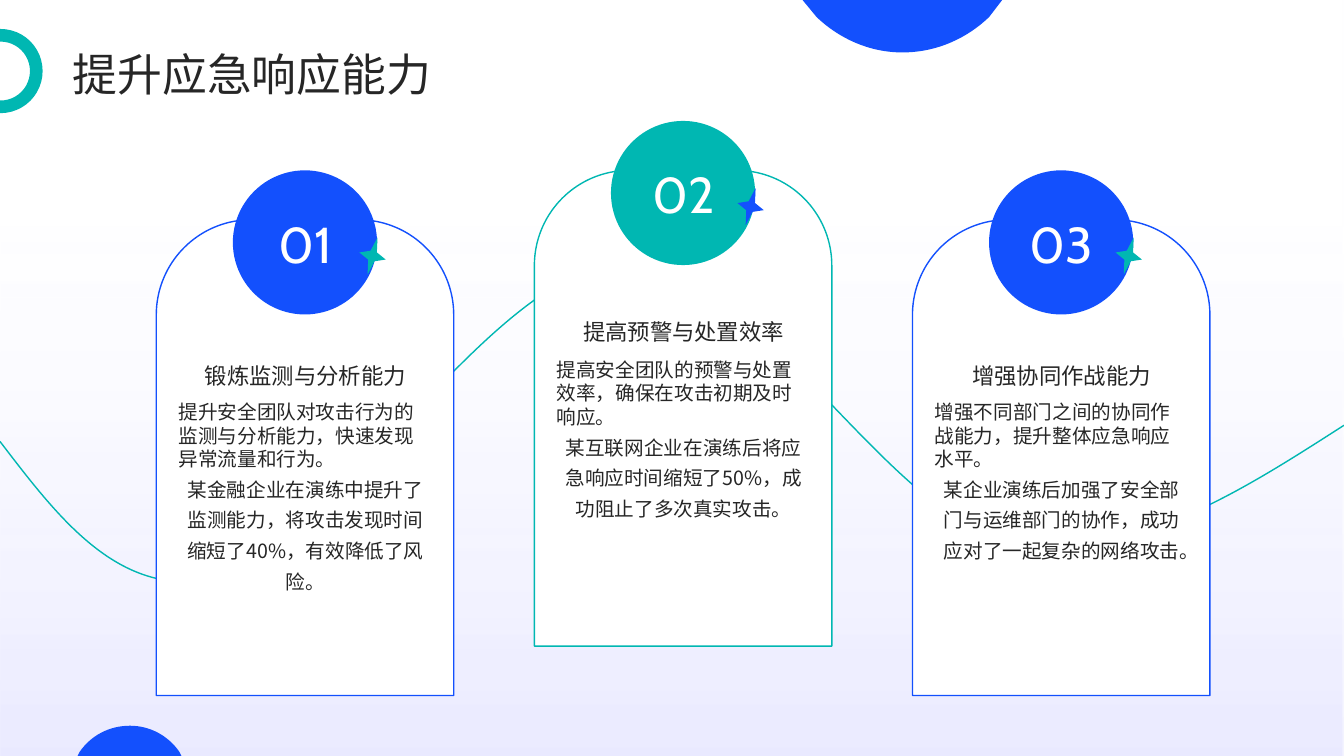
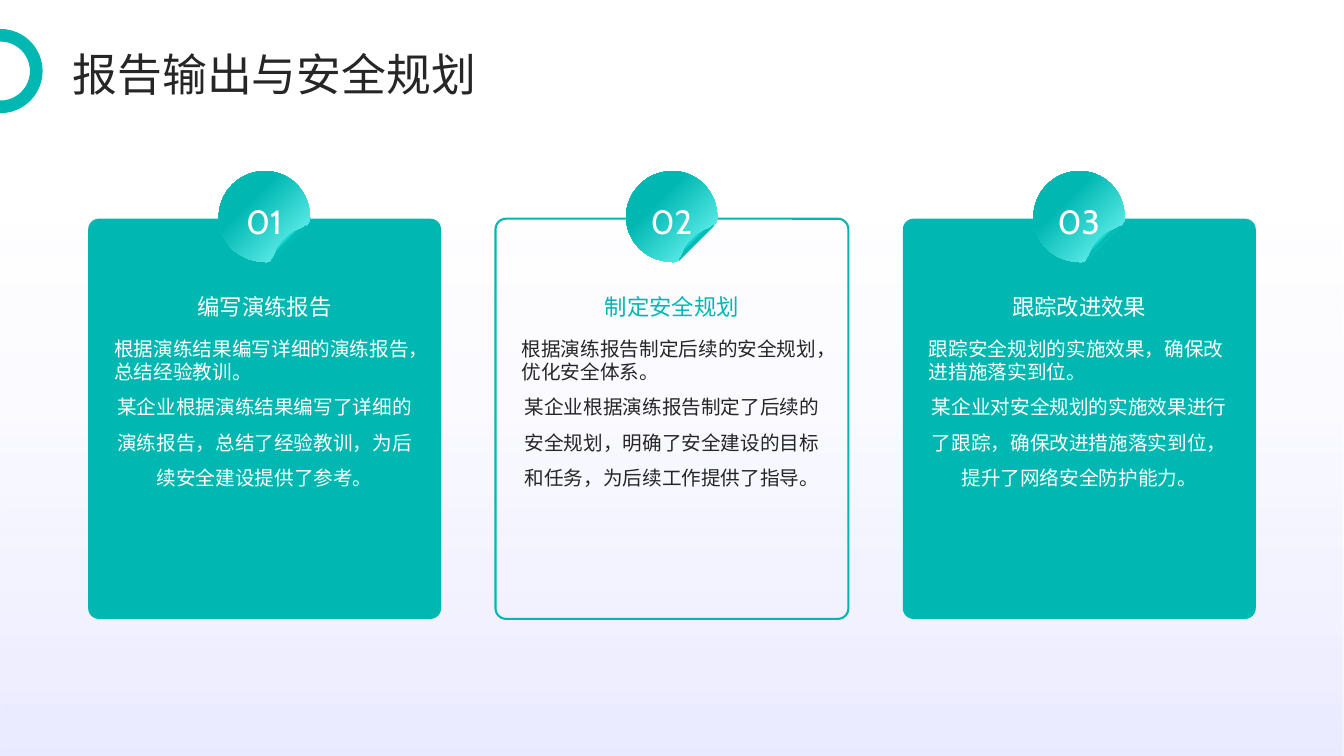
from dataclasses import dataclass

from lxml import etree
from pptx import Presentation
from pptx.dml.color import RGBColor
from pptx.enum.shapes import MSO_SHAPE
from pptx.enum.text import MSO_ANCHOR, PP_ALIGN
from pptx.oxml.ns import qn
from pptx.util import Inches, Pt

LEFT, CENTER = PP_ALIGN.LEFT, PP_ALIGN.CENTER
TOP, MIDDLE, BOTTOM = MSO_ANCHOR.TOP, MSO_ANCHOR.MIDDLE, MSO_ANCHOR.BOTTOM
RECTANGLE, OVAL, STAR = MSO_SHAPE.RECTANGLE, MSO_SHAPE.OVAL, MSO_SHAPE.STAR_4_POINT
ROUNDED, ARCH = MSO_SHAPE.ROUNDED_RECTANGLE, MSO_SHAPE.ROUND_2_SAME_RECTANGLE


@dataclass(frozen=True)
class Theme:
    blue: str = "1350FD"
    teal: str = "00B7B2"
    ink: str = "262626"
    white: str = "FFFFFF"
    shade: str = "12101B"
    text_font: str = "Noto Sans CJK SC"
    number_font: str = "Cabin"
    title_size: int = 32
    heading_size: int = 16
    body_size: int = 14
    big_number: int = 36
    small_number: int = 24


THEME = Theme()
WIDTH, HEIGHT = 13.33, 7.5

RESPONSE = {
    "title": "提升应急响应能力",
    "cards": [
        ("锻炼监测与分析能力",
         "提升安全团队对攻击行为的监测与分析能力，快速发现异常流量和行为。",
         "某金融企业在演练中提升了监测能力，将攻击发现时间缩短了40%，有效降低了风险。"),
        ("提高预警与处置效率",
         "提高安全团队的预警与处置效率，确保在攻击初期及时响应。",
         "某互联网企业在演练后将应急响应时间缩短了50%，成功阻止了多次真实攻击。"),
        ("增强协同作战能力",
         "增强不同部门之间的协同作战能力，提升整体应急响应水平。",
         "某企业演练后加强了安全部门与运维部门的协作，成功应对了一起复杂的网络攻击。"),
    ],
}
PLANNING = {
    "title": "报告输出与安全规划",
    "cards": [
        ("编写演练报告",
         "根据演练结果编写详细的演练报告，总结经验教训。",
         "某企业根据演练结果编写了详细的演练报告，总结了经验教训，为后续安全建设提供了参考。"),
        ("制定安全规划",
         "根据演练报告制定后续的安全规划，优化安全体系。",
         "某企业根据演练报告制定了后续的安全规划，明确了安全建设的目标和任务，为后续工作提供了指导。"),
        ("跟踪改进效果",
         "跟踪安全规划的实施效果，确保改进措施落实到位。",
         "某企业对安全规划的实施效果进行了跟踪，确保改进措施落实到位，提升了网络安全防护能力。"),
    ],
}

WAVE = [(0, 4.38), (0.62, 5.19, 1.24, 6.01, 2.27, 5.71), (3.3, 5.42, 4.89, 2.67, 6.17, 2.61),
        (7.45, 2.55, 8.76, 5.08, 9.96, 5.35), (11.15, 5.62, 12.24, 4.92, 13.33, 4.22)]
TOP_DISC = [(7.96, 0), (9.94, 0), (9.81, 0.17), (9.59, 0.38, 9.29, 0.52, 8.95, 0.52),
            (8.62, 0.52, 8.32, 0.38, 8.1, 0.17)]
BOTTOM_DISC = [(1.29, 7.2), (1.49, 7.2, 1.67, 7.3, 1.78, 7.46), (1.8, 7.5), (0.77, 7.5),
               (0.79, 7.46), (0.9, 7.3, 1.08, 7.2, 1.29, 7.2)]
STICKER_SHADOW = [(0.09, 0.39), (0.41, 0.07), (0.43, 0.05, 0.44, 0.02, 0.44, -0.01),
                  (0.45, -0.13, 0.4, -0.25, 0.31, -0.34),
                  (0.13, -0.51, -0.15, -0.51, -0.32, -0.34),
                  (-0.49, -0.16, -0.49, 0.12, -0.32, 0.29),
                  (-0.23, 0.38, -0.11, 0.43, 0.01, 0.42), (0.04, 0.42, 0.07, 0.41, 0.09, 0.39)]
STICKER = [(0.08, 0.4), (0.42, 0.06), (0.44, 0.04, 0.45, 0.02, 0.45, 0),
           (0.45, -0.13, 0.41, -0.25, 0.31, -0.35), (0.13, -0.52, -0.15, -0.51, -0.32, -0.34),
           (-0.5, -0.16, -0.5, 0.12, -0.32, 0.3), (-0.23, 0.39, -0.1, 0.43, 0.02, 0.43),
           (0.04, 0.43, 0.06, 0.42, 0.08, 0.4)]
STICKER_FOLD = [(0.2, 0.2), (0.1, 0.3, 0.12, 0.36, 0.07, 0.41), (0.41, 0.07),
                (0.36, 0.12, 0.3, 0.1, 0.2, 0.2)]

BACKDROP_FADE = {"stops": [(29, "BCBCFF", 0), (100, "7979FF", 15)], "angle": 90}
STICKER_GLOW = {"stops": [(36, THEME.teal, 100), (100, "7CFFFB", 100)]}
FOLD_SHEEN = {"stops": [(32, "3BFFFA", 100), (47, THEME.teal, 100), (63, "3BFFFA", 100)],
              "angle": 45}


def add_alpha(color_element, percent):
    etree.SubElement(color_element, qn("a:alpha"), val=str(percent * 1000))


def gradient_fill(shape, stops, angle=None):
    gradient = etree.Element(qn("a:gradFill"), rotWithShape="1")
    stop_list = etree.SubElement(gradient, qn("a:gsLst"))
    for position, color, opacity in stops:
        stop = etree.SubElement(stop_list, qn("a:gs"), pos=str(position * 1000))
        color_element = etree.SubElement(stop, qn("a:srgbClr"), val=color)
        if opacity < 100:
            add_alpha(color_element, opacity)
    if angle is None:
        radial = etree.SubElement(gradient, qn("a:path"))
        radial.set("path", "circle")
        etree.SubElement(radial, qn("a:fillToRect"), r="100000", b="100000")
    else:
        etree.SubElement(gradient, qn("a:lin"), ang=str(angle * 60000), scaled="0")
    shape.fill.background()
    placeholder = shape.element.spPr.find(qn("a:noFill"))
    placeholder.getparent().replace(placeholder, gradient)


def paint(shape, fill=None, line=None, weight=1, opacity=100):
    shape.shadow.inherit = False
    if isinstance(fill, dict):
        gradient_fill(shape, **fill)
    elif fill:
        shape.fill.solid()
        shape.fill.fore_color.rgb = RGBColor.from_string(fill)
        if opacity < 100:
            add_alpha(shape.element.spPr.find(qn("a:solidFill"))[0], opacity)
    else:
        shape.fill.background()
    if line:
        shape.line.color.rgb = RGBColor.from_string(line)
        shape.line.width = Pt(weight)
    else:
        shape.line.fill.background()
    return shape


def add_preset(page, kind, area, adjustments=(), **style):
    shape = page.shapes.add_shape(kind, *map(Inches, area))
    for index, value in enumerate(adjustments):
        shape.adjustments[index] = value
    return paint(shape, **style)


def bend_segments(shape, outline):
    corners = iter(list(shape.element.iter(qn("a:lnTo"))))
    for segment in outline[1:]:
        corner = next(corners)
        if len(segment) == 6:
            curve = etree.Element(qn("a:cubicBezTo"))
            corner.addprevious(curve)
            for handle in (corner, next(corners), next(corners)):
                curve.append(handle[0])
                handle.getparent().remove(handle)


def add_outline(page, outline, origin=(0, 0), close=True, **style):
    points = [(Inches(segment[i] + origin[0]), Inches(segment[i + 1] + origin[1]))
              for segment in outline for i in range(0, len(segment), 2)]
    builder = page.shapes.build_freeform(*points[0], scale=1.0)
    builder.add_line_segments(points[1:], close=close)
    shape = builder.convert_to_shape()
    bend_segments(shape, outline)
    return paint(shape, **style)


def add_text(page, area, paragraphs, size, color, font=THEME.text_font, anchor=TOP, inset=True):
    box = page.shapes.add_textbox(*map(Inches, area))
    frame = box.text_frame
    settings = {"word_wrap": True, "vertical_anchor": anchor}
    if not inset:
        settings.update(margin_left=0, margin_right=0, margin_top=0, margin_bottom=0)
    for name, value in settings.items():
        setattr(frame, name, value)
    for index, (text, alignment, spacing) in enumerate(paragraphs):
        para = frame.add_paragraph() if index else frame.paragraphs[0]
        for name, value in {"alignment": alignment, "line_spacing": spacing}.items():
            setattr(para, name, value)
        span = para.add_run()
        span.text = text
        span.font.color.rgb = RGBColor.from_string(color)
        for name, value in {"size": Pt(size), "name": font}.items():
            setattr(span.font, name, value)
        etree.SubElement(span.font._element, qn("a:ea"), typeface=font)


def start_page(deck):
    page = deck.slides.add_slide(deck.slide_layouts[6])
    add_preset(page, RECTANGLE, (0, 0, WIDTH, HEIGHT), fill=BACKDROP_FADE)
    return page


def add_title(page, title):
    add_preset(page, OVAL, (-0.35, 0.35, 0.71, 0.71), line=THEME.teal, weight=9)
    add_text(page, (0.72, 0.47, 11.88, 0.47), [(title, LEFT, 1.1)], THEME.title_size, THEME.ink,
             anchor=MIDDLE, inset=False)


def body_paragraphs(summary, example, spacing):
    return [(summary, LEFT, 1.0), (example, CENTER, spacing)]


def add_arch_card(page, index, card):
    heading, summary, example = card
    raised = index % 2 == 1
    main, accent = (THEME.teal, THEME.blue) if raised else (THEME.blue, THEME.teal)
    left, top = 1.55 + 3.75 * index, 1.69 if raised else 2.18
    heading_drop, body_drop = (1.05, 1.86) if raised else (1.0, 1.79)
    add_preset(page, ARCH, (left, top, 2.95, 4.72), (0.32, 0), fill=THEME.white, line=main)
    add_preset(page, OVAL, (left + 0.76, top - 0.49, 1.43, 1.43), fill=main)
    add_text(page, (left + 0.22, top + body_drop, 2.52, 2.71),
             body_paragraphs(summary, example, 1.3), THEME.body_size, THEME.ink, inset=False)
    add_text(page, (left + 0.9, top - 0.24, 1.16, 0.94), [(f"{index + 1:02}", CENTER, 1.0)],
             THEME.big_number, THEME.white, THEME.number_font, MIDDLE)
    star = add_preset(page, STAR, (left + 2.01, top + 0.17, 0.27, 0.38), (0.17,), fill=accent)
    star.rotation = 15
    add_text(page, (left + 0.22, top + heading_drop, 2.52, 0.68), [(heading, CENTER, 1.1)],
             THEME.heading_size, THEME.ink, anchor=BOTTOM, inset=False)


def add_sticker_card(page, index, card):
    heading, summary, example = card
    outlined = index % 2 == 1
    top, width = 2.17, 3.5
    left = WIDTH / 2 - width / 2 + 4.04 * (index - 1)
    center = (left + width / 2, top)
    style = {"line": THEME.teal, "weight": 1.5} if outlined else {"fill": THEME.teal}
    heading_color, body_color = (THEME.teal, THEME.ink) if outlined else (THEME.white,) * 2
    add_preset(page, ROUNDED, (left, top, width, 3.97), (0.03,), **style)
    add_text(page, (left + 0.16, 3.29, 3.18, 2.76), body_paragraphs(summary, example, 1.5),
             THEME.body_size, body_color)
    add_text(page, (left + 0.16, 2.67, 3.18, 0.71), [(heading, CENTER, 1.1)],
             THEME.heading_size, heading_color, anchor=MIDDLE)
    add_outline(page, STICKER_SHADOW, center, fill=THEME.shade if outlined else THEME.blue,
                opacity=80)
    add_outline(page, STICKER, center, fill=STICKER_GLOW)
    add_outline(page, STICKER_FOLD, center, fill=FOLD_SHEEN)
    add_text(page, (center[0] - 0.45, 1.9, 0.89, 0.5), [(f"{index + 1:02}", CENTER, 1.1)],
             THEME.small_number, THEME.white, THEME.number_font)


def build_response(deck):
    page = start_page(deck)
    add_outline(page, WAVE, close=False, line=THEME.teal)
    for disc in (TOP_DISC, BOTTOM_DISC):
        add_outline(page, disc, fill=THEME.blue)
    for index, card in enumerate(RESPONSE["cards"]):
        add_arch_card(page, index, card)
    add_title(page, RESPONSE["title"])


def build_planning(deck):
    page = start_page(deck)
    for index, card in enumerate(PLANNING["cards"]):
        add_sticker_card(page, index, card)
    add_title(page, PLANNING["title"])


def main():
    deck = Presentation()
    deck.slide_width, deck.slide_height = Inches(WIDTH), Inches(HEIGHT)
    build_response(deck)
    build_planning(deck)
    deck.save("out.pptx")


if __name__ == "__main__":
    main()
